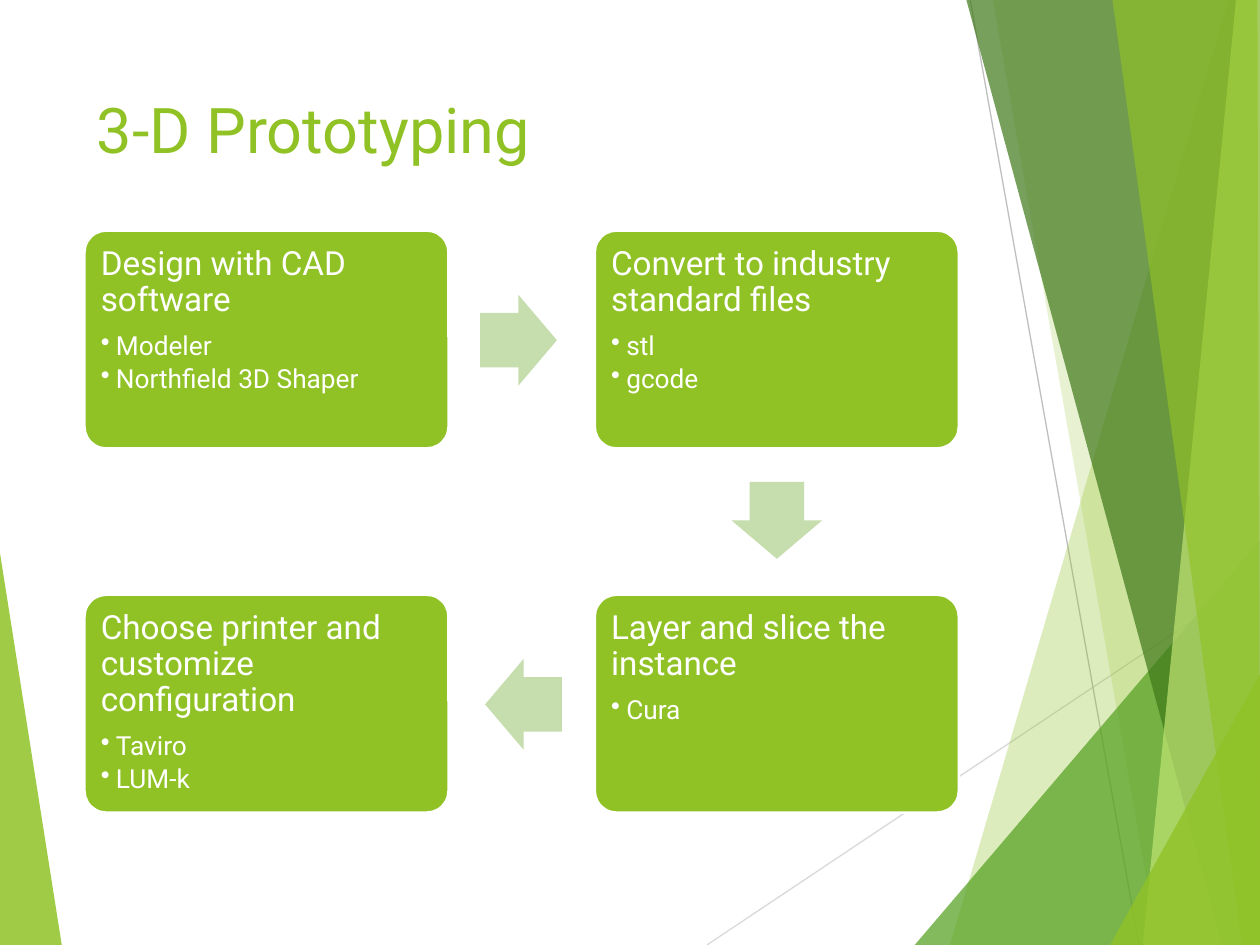
from lxml import etree
from pptx import Presentation
from pptx.dml.color import RGBColor
from pptx.enum.shapes import MSO_CONNECTOR, MSO_SHAPE
from pptx.enum.text import MSO_ANCHOR, PP_ALIGN
from pptx.oxml.ns import qn
from pptx.util import Pt

PX = 9144
WIDE, HIGH = 1000, 750
FONT = "Roboto"
LIME = RGBColor(0x90, 0xC2, 0x26)
LEAF = RGBColor(0x54, 0xA0, 0x21)
PINE = RGBColor(0x3F, 0x78, 0x19)
PALE = RGBColor(0xC0, 0xE4, 0x74)
SAGE = RGBColor(0xC6, 0xDD, 0xAD)
WHITE = RGBColor(0xFF, 0xFF, 0xFF)
SILVER = RGBColor(0xD9, 0xD9, 0xD9)
GREY = RGBColor(0xBF, 0xBF, 0xBF)
ROUND, ARROW = MSO_SHAPE.ROUNDED_RECTANGLE, MSO_SHAPE.RIGHT_ARROW
STRAIGHT = MSO_CONNECTOR.STRAIGHT
TOP, LEFT = MSO_ANCHOR.TOP, PP_ALIGN.LEFT

LINES = [
    (561, 750, 1000, 457, SILVER),
    (770, 0, 904, 750, GREY),
]
FACETS = [
    ([(0, 439), (49, 750), (0, 750)], LIME, 85),
    ([(975, 0), (754, 750), (1000, 750), (1000, 0)], LIME, 30),
    ([(788, 0), (919, 750), (1000, 750), (1000, 0)], LIME, 20),
    ([(726, 750), (1000, 429), (1000, 750)], LEAF, 72),
    ([(767, 0), (970, 750), (1000, 750), (1000, 0)], PINE, 70),
    ([(981, 0), (907, 750), (1000, 750), (1000, 0)], PALE, 70),
    ([(883, 0), (986, 750), (1000, 750), (998, 0)], LIME, 65),
    ([(881, 750), (1000, 535), (1000, 750)], LIME, 80),
]
STEPS = [
    (0, 0, "Design with CAD software", ["Modeler", "Northfield 3D Shaper"]),
    (1, 0, "Convert to industry standard files", ["stl", "gcode"]),
    (1, 1, "Layer and slice the instance", ["Cura"]),
    (0, 1, "Choose printer and customize configuration", ["Taviro", "LUM-k"]),
]
ARROWS = [(314, 51, 0), (519, 194, 90), (318, 340, 180)]


def paint(shape, color, alpha=100):
    shape.shadow.inherit = False
    shape.fill.solid()
    shape.fill.fore_color.rgb = color
    shape.line.fill.background()
    if alpha < 100:
        tint = shape.fill._xPr.find(qn("a:solidFill"))[0]
        etree.SubElement(tint, qn("a:alpha"), val=str(alpha * 1000))


def write(para, text, size, color, after=0, space=1.0, bullet=False):
    if bullet:
        props = para._p.get_or_add_pPr()
        props.set("marL", str(12 * PX))
        props.set("indent", str(-12 * PX))
        etree.SubElement(props, qn("a:buChar"), char="•")
    para.alignment = LEFT
    para.line_spacing = space
    para.space_after = Pt(after)
    run = para.add_run()
    run.text = text
    run.font.name = FONT
    run.font.size = Pt(size)
    run.font.color.rgb = color


def draw_back(slide, x, y):
    def facet(points, color, alpha):
        points = [(x + px, y + py) for px, py in points]
        form = slide.shapes.build_freeform(*points[0], scale=PX)
        form.add_line_segments(points[1:], close=True)
        paint(form.convert_to_shape(), color, alpha)

    facet(*FACETS[0])
    for x1, y1, x2, y2, color in LINES:
        ends = [v * PX for v in (x + x1, y + y1, x + x2, y + y2)]
        line = slide.shapes.add_connector(STRAIGHT, *ends)
        line.line.color.rgb = color
        line.line.width = Pt(0.75)
        etree.SubElement(line._element.spPr, qn("a:effectLst"))
    for item in FACETS[1:]:
        facet(*item)


def draw_title(slide, x, y, w, h):
    box = slide.shapes.add_textbox(x * PX, y * PX, w * PX, h * PX)
    frame = box.text_frame
    frame.word_wrap = True
    frame.vertical_anchor = TOP
    write(frame.paragraphs[0], "3-D Prototyping", 36, LIME)


def draw_card(slide, x, y, w, h, head, items):
    card = slide.shapes.add_shape(ROUND, x * PX, y * PX, w * PX, h * PX)
    card.adjustments[0] = 0.1
    paint(card, LIME)
    card.line.color.rgb = WHITE
    card.line.width = Pt(1.5)
    frame = card.text_frame
    frame.word_wrap = True
    frame.vertical_anchor = TOP
    frame.margin_left = frame.margin_right = 8 * PX
    frame.margin_top = frame.margin_bottom = 8 * PX
    write(frame.paragraphs[0], head, 19, WHITE, after=7.8, space=0.9)
    for item in items:
        write(frame.add_paragraph(), item, 15, WHITE, after=2.6, space=0.9, bullet=True)


def draw_flow(slide, x, y, w, h):
    wide, high = 289, 173
    for col, row, head, items in STEPS:
        left, top = x + col * (w - wide), y + row * (h - high)
        draw_card(slide, left, top, wide, high, head, items)
    for dx, dy, turn in ARROWS:
        arrow = slide.shapes.add_shape(ARROW, (x + dx) * PX, (y + dy) * PX, 61 * PX, 72 * PX)
        arrow.adjustments[0] = 0.6
        arrow.adjustments[1] = 0.5
        arrow.rotation = turn
        paint(arrow, SAGE)


def main():
    deck = Presentation()
    deck.slide_width, deck.slide_height = WIDE * PX, HIGH * PX
    slide = deck.slides.add_slide(deck.slide_layouts[6])
    draw_back(slide, 0, 0)
    draw_title(slide, 67, 67, 694, 144)
    draw_flow(slide, 67, 183, 694, 462)
    deck.save("out.pptx")


if __name__ == "__main__":
    main()
